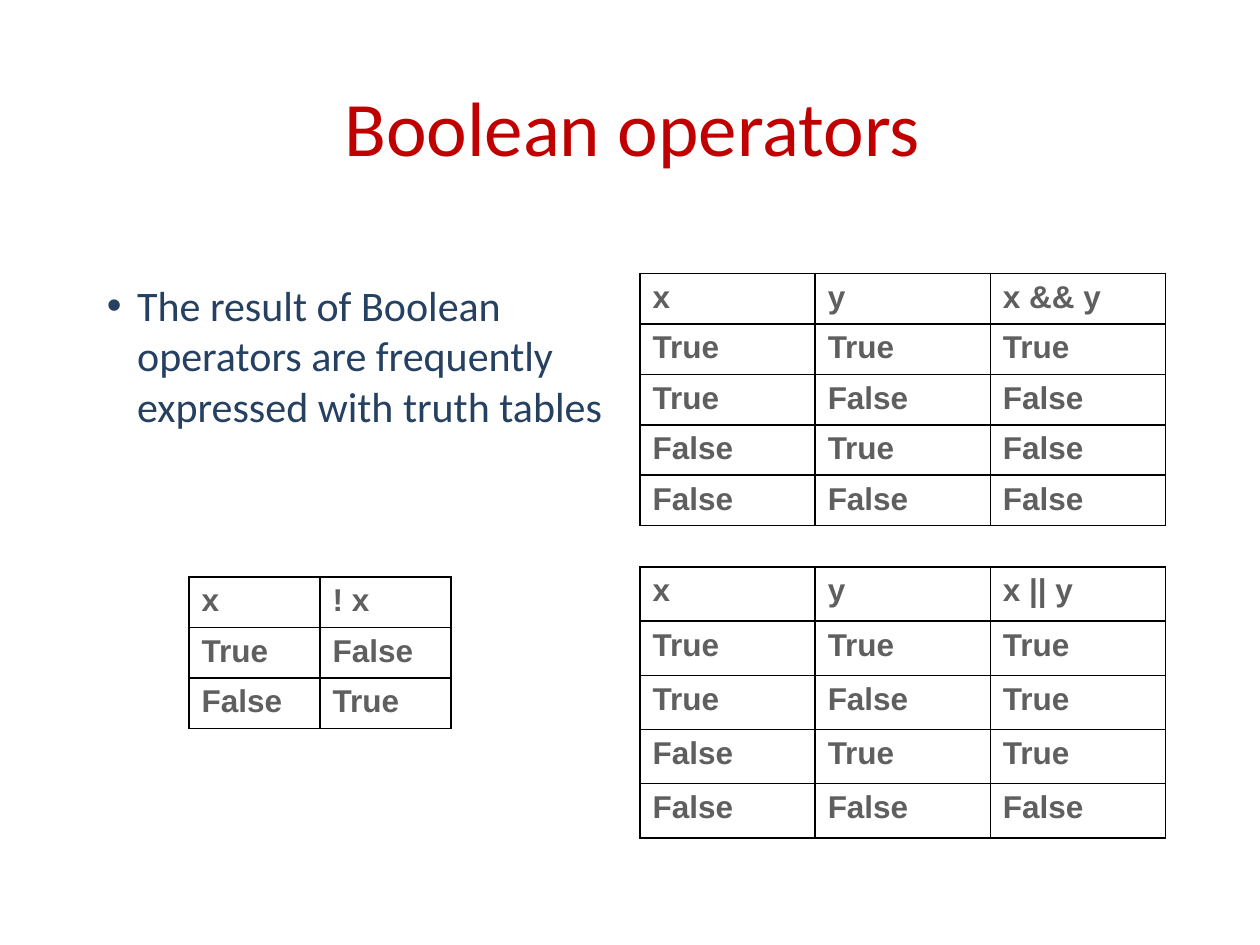
import pptx
import pptx.util
import pptx.dml.color
import pptx.enum.text
import pptx.oxml
import pptx.oxml.ns
from pptx.util import Inches

# Content
TITLE = "Boolean operators"
STATEMENT = "The result of Boolean operators are frequently expressed with truth tables"
PAIRS = [(True, True), (True, False), (False, True), (False, False)]
AND_ROWS = [("x", "y", "x && y")] + [(x, y, x and y) for x, y in PAIRS]
OR_ROWS = [("x", "y", "x || y")] + [(x, y, x or y) for x, y in PAIRS]
NOT_ROWS = [("x", "! x")] + [(x, not x) for x in (True, False)]

# Rows, left, top, column width, row height in inches
TRUTH_TABLES = [
    (AND_ROWS, 5.08, 2.17, 1.39, 0.4),
    (OR_ROWS, 5.08, 4.5, 1.39, 0.43),
    (NOT_ROWS, 1.5, 4.58, 1.04, 0.4),
]


def color(hex_value):
    return pptx.dml.color.RGBColor.from_string(hex_value)


def add_run(paragraph, text, size, font, hex_value, bold=False):
    run = paragraph.add_run()
    run.text = text
    run.font.size = pptx.util.Pt(size)
    run.font.name = font
    run.font.bold = bold
    run.font.color.rgb = color(hex_value)


def add_borders(cell):
    properties = cell._tc.get_or_add_tcPr()
    for position, side in enumerate(("lnL", "lnR", "lnT", "lnB")):
        line = pptx.oxml.parse_xml(
            f'<a:{side} {pptx.oxml.ns.nsdecls("a")} w="12700"><a:solidFill>'
            f'<a:srgbClr val="000000"/></a:solidFill></a:{side}>')
        properties.insert(position, line)


def add_truth_table(slide, rows, left, top, column_width, row_height):
    row_count, column_count = len(rows), len(rows[0])
    table = slide.shapes.add_table(
        row_count, column_count, Inches(left), Inches(top),
        Inches(column_width * column_count), Inches(row_height * row_count)).table
    table.first_row = table.horz_banding = False
    for column in table.columns:
        column.width = Inches(column_width)
    for row, values in zip(table.rows, rows):
        row.height = Inches(row_height)
        for cell, value in zip(row.cells, values):
            cell.fill.background()
            add_borders(cell)
            add_run(cell.text_frame.paragraphs[0], str(value), 18, "Arial", "5F5F5F", True)


def add_bullet(paragraph):
    properties = paragraph._p.get_or_add_pPr()
    properties.set("marL", str(Inches(0.24)))
    properties.set("indent", str(Inches(-0.24)))
    namespace = pptx.oxml.ns.nsdecls("a")
    properties.append(pptx.oxml.parse_xml(f'<a:buFont {namespace} typeface="Arial"/>'))
    properties.append(pptx.oxml.parse_xml(f'<a:buChar {namespace} char="•"/>'))


def main():
    presentation = pptx.Presentation()
    presentation.slide_width, presentation.slide_height = Inches(10), Inches(7.5)
    slide = presentation.slides.add_slide(presentation.slide_layouts[5])

    # Title
    title = slide.shapes.title
    title.left, title.top = Inches(0.53), Inches(0.35)
    title.width, title.height = Inches(8.98), Inches(1.3)
    title.text_frame.vertical_anchor = pptx.enum.text.MSO_ANCHOR.MIDDLE
    paragraph = title.text_frame.paragraphs[0]
    paragraph.alignment = pptx.enum.text.PP_ALIGN.CENTER
    add_run(paragraph, TITLE, 44, "Calibri", "C00000")

    # Bulleted statement
    statement = slide.shapes.add_textbox(
        Inches(0.75), Inches(2.17), Inches(4.16), Inches(4.5))
    statement.text_frame.word_wrap = True
    paragraph = statement.text_frame.paragraphs[0]
    add_bullet(paragraph)
    add_run(paragraph, STATEMENT, 24, "Calibri", "254061")

    # Truth tables
    for truth_table in TRUTH_TABLES:
        add_truth_table(slide, *truth_table)

    presentation.save("out.pptx")


if __name__ == "__main__":
    main()
